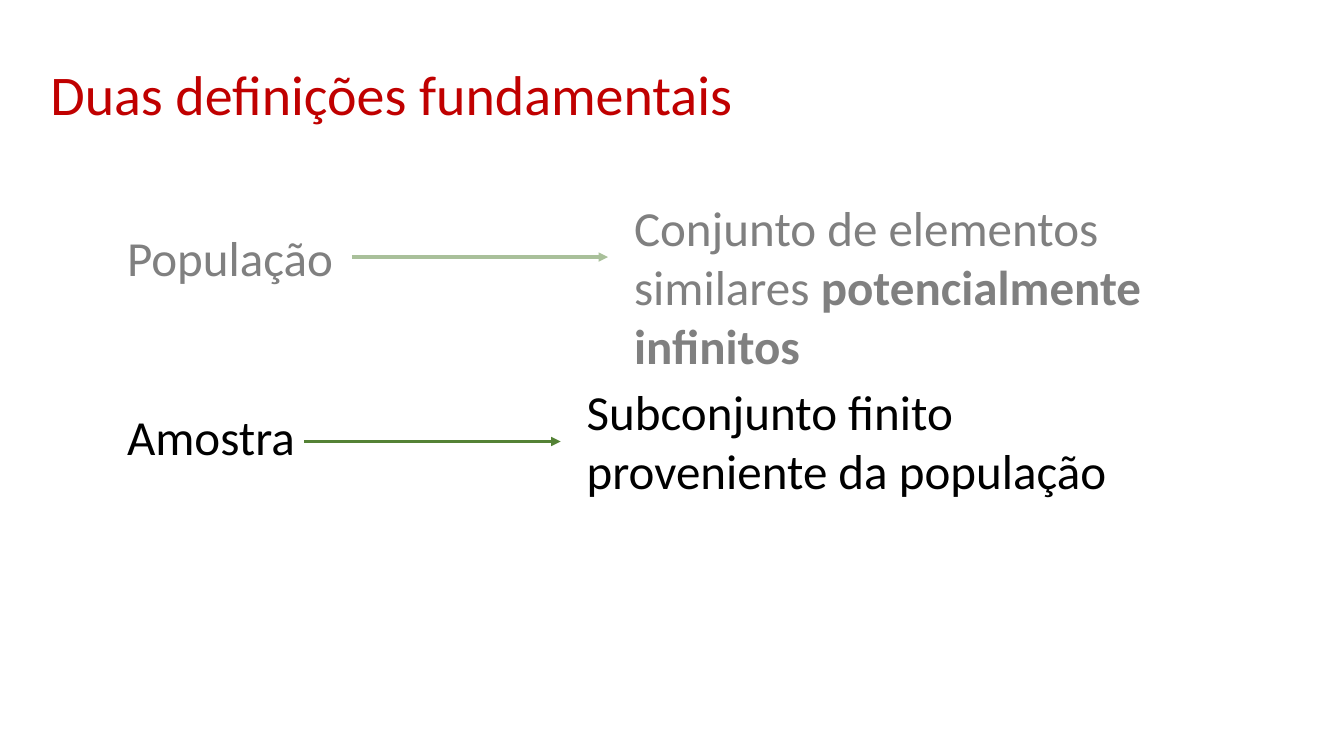
"""Build a slide that defines population and sample, with the first one dimmed."""
from lxml.etree import SubElement
from pptx import Presentation
from pptx.dml.color import RGBColor
from pptx.enum.shapes import MSO_CONNECTOR, MSO_SHAPE
from pptx.enum.text import MSO_ANCHOR, MSO_AUTO_SIZE, PP_ALIGN
from pptx.oxml.ns import qn
from pptx.util import Inches, Pt

RED = RGBColor(0xC0, 0x00, 0x00)
BLACK = RGBColor(0x00, 0x00, 0x00)
GREEN = RGBColor(0x54, 0x82, 0x35)
WHITE = RGBColor(0xFF, 0xFF, 0xFF)
FONT = "Calibri"
BODY_SIZE = 35
TERM_GAP = 85.4
ARROW_LENGTH = 2.54


def place(box, left, top, width, height):
    box.left, box.top = Inches(left), Inches(top)
    box.width, box.height = Inches(width), Inches(height)


def format_text(frame, size, color):
    frame.word_wrap = True
    frame.auto_size = MSO_AUTO_SIZE.NONE
    frame.vertical_anchor = MSO_ANCHOR.TOP
    for paragraph in frame.paragraphs:
        paragraph.alignment = PP_ALIGN.LEFT
        paragraph.space_before = Pt(0)
        for run in paragraph.runs:
            run.font.name = FONT
            run.font.size = Pt(size)
            run.font.color.rgb = color


def fill_title(title, text):
    place(title, 0.4, 0.54, 7.42, 0.77)
    title.text_frame.text = text
    format_text(title.text_frame, 40, RED)


def fill_terms(body, terms):
    place(body, 1.16, 2.21, 2.31, 2.46)
    body.text_frame.text = "\n".join(terms)
    format_text(body.text_frame, BODY_SIZE, BLACK)
    for paragraph in body.text_frame.paragraphs:
        properties = paragraph._p.get_or_add_pPr()
        properties.set("marL", "0")
        properties.set("indent", "0")
        SubElement(properties, qn("a:buNone"))
    for paragraph in body.text_frame.paragraphs[1:]:
        paragraph.space_before = Pt(TERM_GAP)


def add_definition(slide, left, top, width, plain, strong=""):
    definition = slide.shapes.add_textbox(
        Inches(left), Inches(top), Inches(width), Inches(1.28))
    paragraph = definition.text_frame.paragraphs[0]
    paragraph.text = plain
    if strong:
        emphasis = paragraph.add_run()
        emphasis.text = strong
        emphasis.font.bold = True
    format_text(definition.text_frame, BODY_SIZE, BLACK)


def add_arrow(slide, left, top):
    arrow = slide.shapes.add_connector(
        MSO_CONNECTOR.STRAIGHT, Inches(left), Inches(top),
        Inches(left + ARROW_LENGTH), Inches(top))
    arrow.line.color.rgb = GREEN
    arrow.line.width = Pt(2.25)
    SubElement(arrow.line._get_or_add_ln(), qn("a:tailEnd"), type="triangle")
    SubElement(arrow._element.spPr, qn("a:effectLst"))


def add_veil(slide):
    veil = slide.shapes.add_shape(
        MSO_SHAPE.RECTANGLE, Inches(0.39), Inches(1.7), Inches(12.03), Inches(2.05))
    veil.shadow.inherit = False
    veil.fill.solid()
    veil.fill.fore_color.rgb = WHITE
    tint = veil._element.spPr.find(qn("a:solidFill")).find(qn("a:srgbClr"))
    SubElement(tint, qn("a:alpha"), val="50000")
    veil.line.color.rgb = WHITE
    veil.line.width = Pt(1)


def main():
    deck = Presentation()
    deck.slide_width, deck.slide_height = Inches(13.33), Inches(7.5)
    slide = deck.slides.add_slide(deck.slide_layouts[1])
    fill_title(slide.shapes.title, "Duas definições fundamentais")
    fill_terms(slide.placeholders[1], ["População", "Amostra"])
    add_arrow(slide, 3.49, 2.55)
    add_arrow(slide, 3.02, 4.38)
    add_definition(slide, 5.72, 3.74, 5.69,
                   "Subconjunto finito proveniente da população")
    add_definition(slide, 6.19, 1.91, 6.5,
                   "Conjunto de elementos similares ", "potencialmente infinitos")
    add_veil(slide)
    deck.save("out.pptx")


if __name__ == "__main__":
    main()
